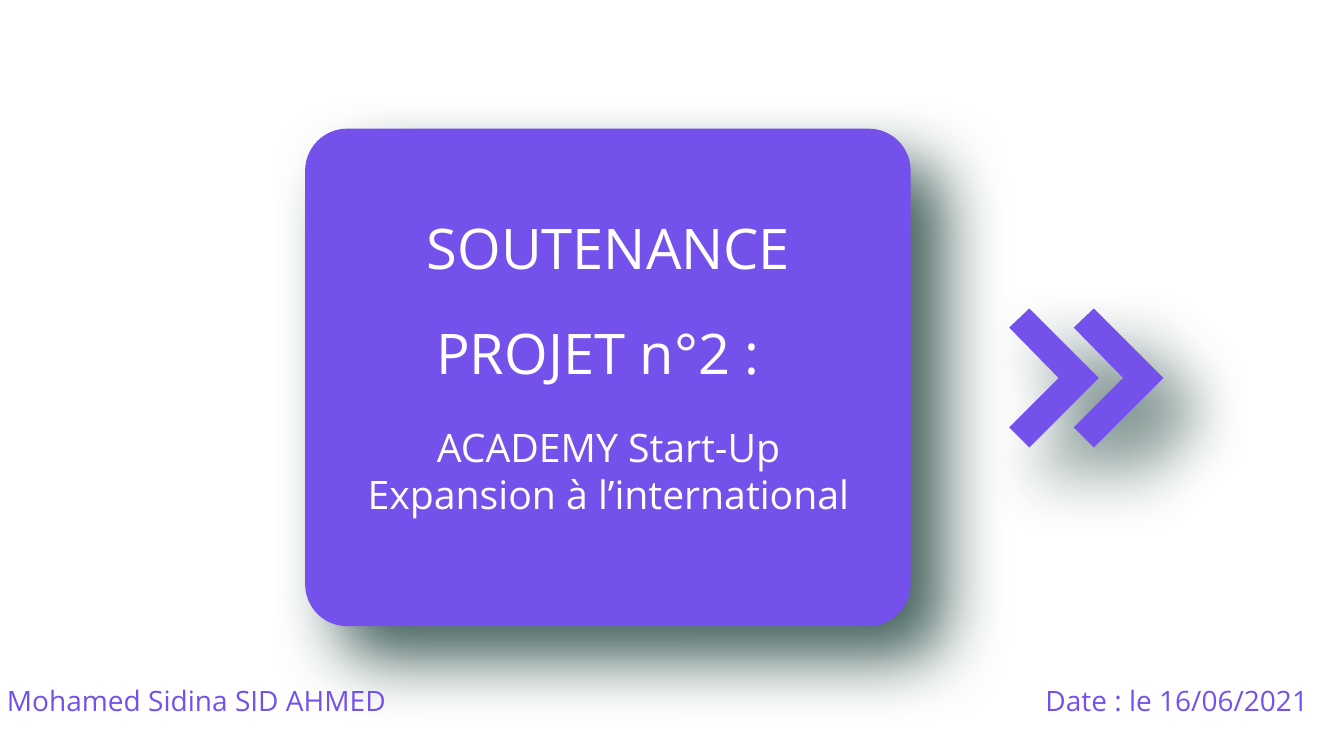
"""Build the title slide of a project defence: a shadowed card, a double chevron and two footers."""
from lxml.etree import SubElement
from pptx import Presentation
from pptx.dml.color import RGBColor
from pptx.enum.shapes import MSO_SHAPE
from pptx.enum.text import MSO_ANCHOR, PP_ALIGN
from pptx.oxml.ns import qn
from pptx.util import Inches, Pt

PURPLE, WHITE, SHADOW = "7451EB", "FFFFFF", "294B46"


def rgb(color):
    """Turn a hex string into a colour."""
    return RGBColor.from_string(color)


def write(sp, box, text, size, color, align, wrap):
    """Place a text shape and format all of its paragraphs."""
    sp.left, sp.top, sp.width, sp.height = [Inches(v) for v in box]
    tf = sp.text_frame
    tf.text = text
    tf.word_wrap = wrap
    tf.vertical_anchor = MSO_ANCHOR.TOP
    for p in tf.paragraphs:
        p.alignment = align
        p.space_before = Pt(0)
        for r in p.runs:
            r.font.name = "Open Sans"
            r.font.size = Pt(size)
            r.font.color.rgb = rgb(color)


prs = Presentation()
prs.slide_width, prs.slide_height = Inches(13.33), Inches(7.5)
s = prs.slides.add_slide(prs.slide_layouts[0])
s.background.fill.solid()
s.background.fill.fore_color.rgb = rgb(WHITE)
title, subtitle = s.placeholders

card = s.shapes.add_shape(MSO_SHAPE.ROUNDED_RECTANGLE, Inches(3.11), Inches(1.36), Inches(5.84), Inches(4.77))
card.adjustments[0] = 0.07
card.line.color.rgb = rgb(PURPLE)
card.line.width = Pt(12)

outline = [(0.2, 0), (0.89, 0.69), (0.2, 1.38), (0, 1.18), (0.49, 0.69), (0, 0.19)]
first, second = [[(Inches(left + x), Inches(3.06 + y)) for x, y in outline] for left in (10.01, 10.65)]
fb = s.shapes.build_freeform(*first[0])
fb.add_line_segments(first[1:], close=True)
fb.move_to(*second[0])
fb.add_line_segments(second[1:], close=True)
chevrons = fb.convert_to_shape()
chevrons.line.fill.background()

for sp in (card, chevrons):
    sp.fill.solid()
    sp.fill.fore_color.rgb = rgb(PURPLE)
    sp.shadow.inherit = False
    effects = sp.element.spPr.find(qn("a:effectLst"))
    shadow = SubElement(effects, qn("a:outerShdw"), blurRad=str(Pt(47)), dist=str(Pt(33)),
                        dir=str(45 * 60000), algn="tl", rotWithShape="0")
    tint = SubElement(shadow, qn("a:srgbClr"), val=SHADOW)
    SubElement(tint, qn("a:alpha"), val="87000")

for sp in (title, subtitle):
    s.shapes.element.append(sp.element)
write(title, (3.52, 2.07, 5.03, 0.77), "SOUTENANCE", 40, WHITE, PP_ALIGN.CENTER, False)
write(subtitle, (3.21, 4.15, 5.65, 1.04), "ACADEMY Start-Up\nExpansion à l’international",
      28, WHITE, PP_ALIGN.CENTER, False)

labels = [
    ((4.12, 3.11, 3.62, 0.77), "PROJET n°2 :", 40, WHITE, PP_ALIGN.CENTER, False),
    ((-0.03, 6.73, 4.68, 0.44), "Mohamed Sidina SID AHMED", 20, PURPLE, PP_ALIGN.LEFT, True),
    ((10.27, 6.73, 3.09, 0.44), "Date : le 16/06/2021", 20, PURPLE, PP_ALIGN.LEFT, True),
]
for label in labels:
    write(s.shapes.add_textbox(0, 0, 0, 0), *label)

prs.save("out.pptx")
